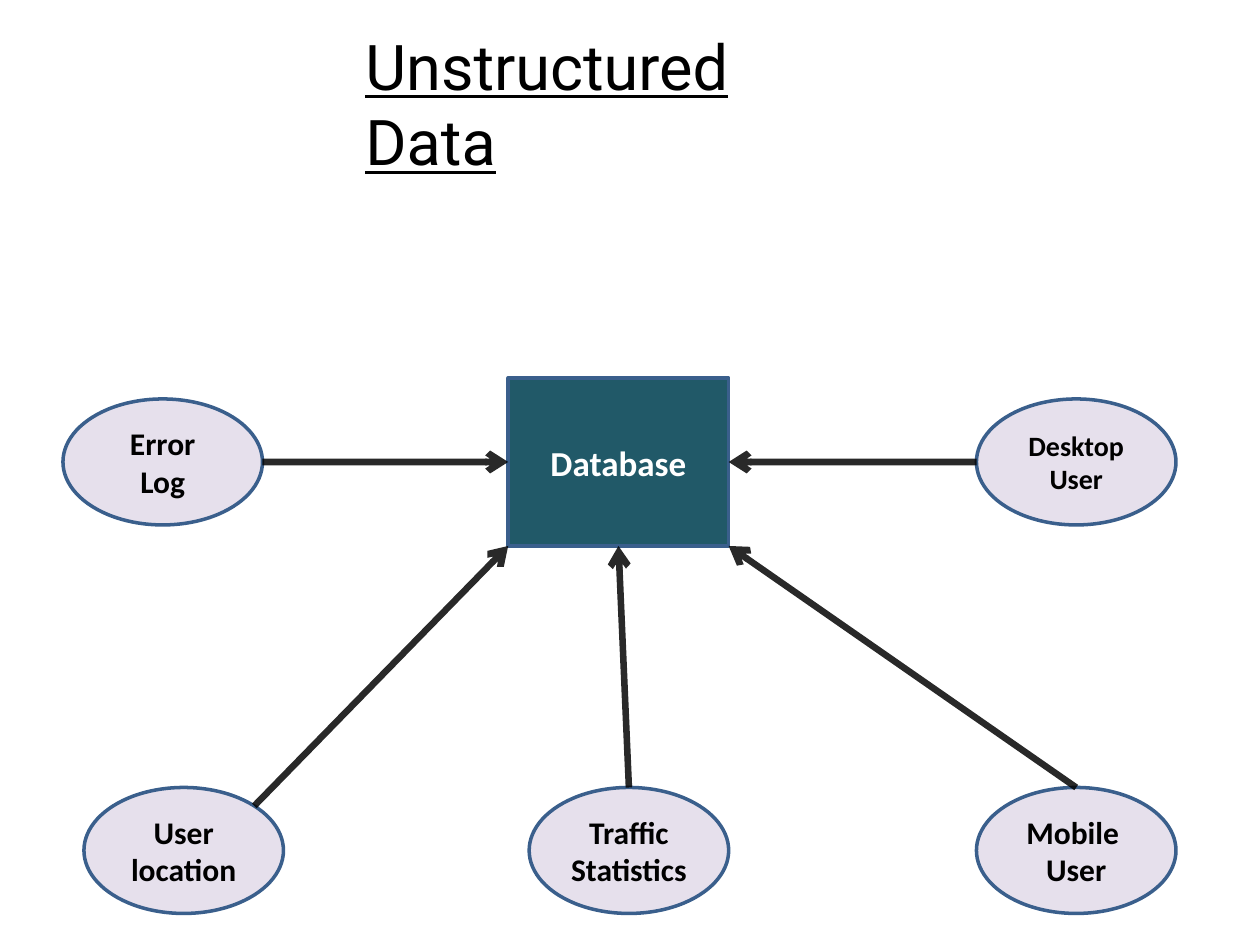
from lxml.etree import SubElement
from pptx import Presentation
from pptx.dml.color import RGBColor
from pptx.enum.shapes import MSO_CONNECTOR as CONN, MSO_SHAPE as SHAPE
from pptx.enum.text import MSO_ANCHOR as ANCHOR, MSO_AUTO_SIZE as AUTO, PP_ALIGN as ALIGN
from pptx.oxml.ns import qn
from pptx.util import Inches, Pt

BLACK = RGBColor(0x00, 0x00, 0x00)
WHITE = RGBColor(0xFF, 0xFF, 0xFF)
TEAL = RGBColor(0x21, 0x59, 0x68)
LILAC = RGBColor(0xE6, 0xE0, 0xEC)
OUTLINE = RGBColor(0x3A, 0x5F, 0x8C)

COLS, ROWS = 120, 90
CELL = Inches(10) // COLS

TITLE_BOX = (33.6, 2, 50, 8.5)
DATABASE_BOX = (48.4, 36, 21, 16)
SOURCE_SIZE = (19, 12)
UPPER_ROW, LOWER_ROW = 38, 75

LEFT, RIGHT, TOP = (0, 0.5), (1, 0.5), (0.5, 0)
BOTTOM, BOTTOM_LEFT, BOTTOM_RIGHT = (0.5, 1), (0, 1), (1, 1)
ELLIPSE_TOP_RIGHT = (0.5 + 0.5 ** 1.5, 0.5 - 0.5 ** 1.5)

SOURCES = [
    ("Error Log", 6, UPPER_ROW, 18, RIGHT, LEFT),
    ("User\nlocation", 8, LOWER_ROW, 18, ELLIPSE_TOP_RIGHT, BOTTOM_LEFT),
    ("Traffic\nStatistics", 50.4, LOWER_ROW, 18, TOP, BOTTOM),
    ("Mobile \nUser", 93, LOWER_ROW, 18, TOP, BOTTOM_RIGHT),
    ("Desktop\nUser", 93, UPPER_ROW, 16, LEFT, RIGHT),
]


def to_emu(*cells):
    """Convert grid cells to slide lengths."""
    return [round(c * CELL) for c in cells]


def point_on(box, share):
    """Return the grid point at the given shares of a box."""
    x, y, w, h = box
    return x + w * share[0], y + h * share[1]


def style_runs(tf, name, size, color, bold=False, underline=False):
    """Format every run of a text frame."""
    for p in tf.paragraphs:
        for r in p.runs:
            font = r.font
            font.name, font.size, font.bold = name, Pt(size), bold
            font.underline = underline
            font.color.rgb = color


def add_title(slide, box, text):
    """Place the underlined heading in its box."""
    sp = slide.shapes.title
    sp.left, sp.top, sp.width, sp.height = to_emu(*box)
    tf = sp.text_frame
    tf.text = text
    tf.word_wrap = True
    tf.auto_size = AUTO.SHAPE_TO_FIT_TEXT
    tf.vertical_anchor = ANCHOR.TOP
    tf.paragraphs[0].alignment = ALIGN.LEFT
    style_runs(tf, "Roboto", 36, BLACK, underline=True)


def add_node(slide, kind, box, text, size, fill, color):
    """Draw an outlined shape with a centred bold label."""
    sp = slide.shapes.add_shape(kind, *to_emu(*box))
    sp.shadow.inherit = False
    sp.fill.solid()
    sp.fill.fore_color.rgb = fill
    sp.line.color.rgb = OUTLINE
    sp.line.width = Pt(2)
    tf = sp.text_frame
    tf.text = text
    tf.word_wrap = True
    tf.vertical_anchor = ANCHOR.MIDDLE
    for p in tf.paragraphs:
        p.alignment = ALIGN.CENTER
    style_runs(tf, "Calibri", size, color, bold=True)


def add_arrow(slide, start, end):
    """Draw a slightly transparent arrow between two grid points."""
    line = slide.shapes.add_connector(CONN.STRAIGHT, *to_emu(*start, *end))
    line.line.width = Pt(3.75)
    line.line.color.rgb = BLACK
    props = line._element.spPr
    ln = props.find(qn("a:ln"))
    SubElement(ln.find(".//" + qn("a:srgbClr")), qn("a:alpha"), val="84000")
    SubElement(ln, qn("a:tailEnd"), type="arrow")
    SubElement(props, qn("a:effectLst"))


def add_diagram(slide, hub):
    """Draw the database and the sources that feed it."""
    add_node(slide, SHAPE.RECTANGLE, hub, "Database", 20, TEAL, WHITE)
    for text, col, row, size, exit_share, entry_share in SOURCES:
        box = (col, row, *SOURCE_SIZE)
        add_node(slide, SHAPE.OVAL, box, text, size, LILAC, BLACK)
        add_arrow(slide, point_on(box, exit_share), point_on(hub, entry_share))


def main():
    """Build and save the slide."""
    prs = Presentation()
    prs.slide_width, prs.slide_height = to_emu(COLS, ROWS)
    slide = prs.slides.add_slide(prs.slide_layouts[5])
    add_title(slide, TITLE_BOX, "Unstructured Data")
    add_diagram(slide, DATABASE_BOX)
    prs.save("out.pptx")


if __name__ == "__main__":
    main()
